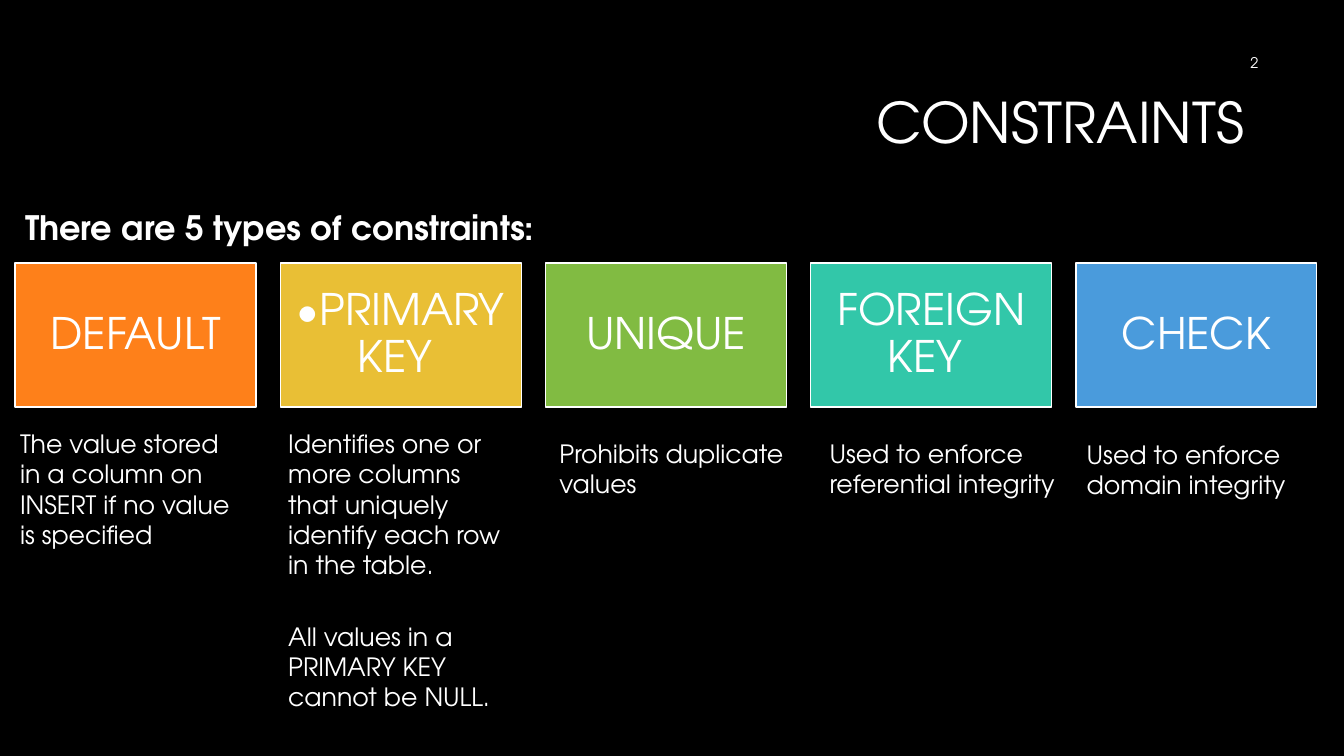
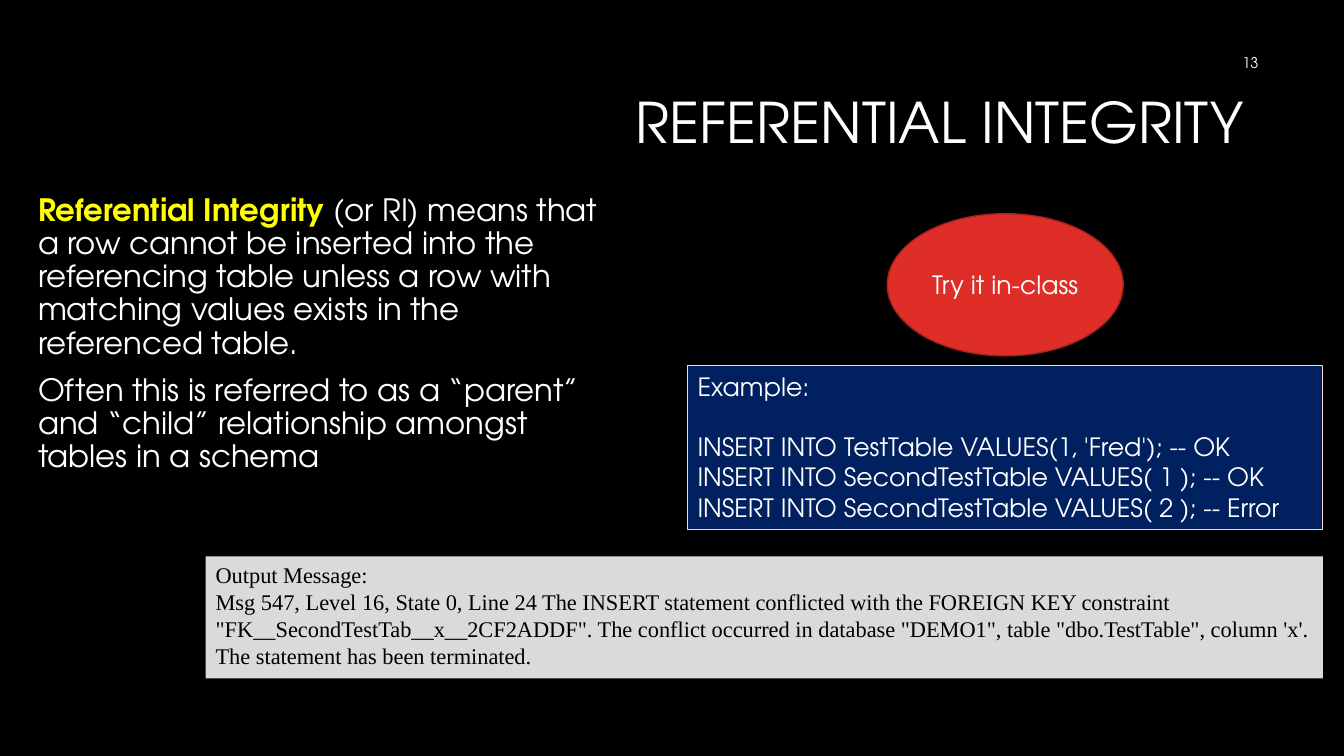
from dataclasses import dataclass
from pptx import Presentation
from pptx.dml.color import RGBColor as Rgb
from pptx.enum.shapes import MSO_SHAPE as Kind
from pptx.enum.text import MSO_ANCHOR as Anchor, PP_ALIGN as Align
from pptx.util import Inches, Pt


@dataclass(frozen=True)
class Theme:
    face: str = "TeX Gyre Adventor"
    serif: str = "Times New Roman"
    back: str = "000000"
    ink: str = "FFFFFF"
    dark: str = "000000"
    key: str = "FFFF00"
    red: str = "DF2E28"
    rim: str = "A5221E"
    navy: str = "002060"
    pink: str = "F9D5D4"
    gray: str = "DADADA"
    cards: tuple = ("FE801A", "E9BF35", "81BB42", "32C7A9", "4A9BDC")
    title: float = 40
    card: float = 31
    lead: float = 24
    body: float = 22
    note: float = 18
    log: float = 16
    page: float = 10.5


class Deck:
    def __init__(self, theme):
        self.theme = theme
        self.prs = Presentation()
        self.prs.slide_width = Inches(13.33)
        self.prs.slide_height = Inches(7.5)
        fill = self.prs.slide_master.background.fill
        fill.solid()
        fill.fore_color.rgb = Rgb.from_string(theme.back)

    def start(self, title, page, left):
        self.slide = self.prs.slides.add_slide(self.prs.slide_layouts[6])
        head = self.text((left, 0.84, 12.59 - left, 1.41), [title],
                         self.theme.title, align=Align.RIGHT, line=0.9)
        head.text_frame.margin_top = Inches(0.1)
        self.text((9.58, 0.42, 3, 0.4), [page], self.theme.page,
                  align=Align.RIGHT, anchor=Anchor.MIDDLE)

    def text(self, area, paras, size, **style):
        box = self.slide.shapes.add_textbox(*map(Inches, area))
        self.label(box, paras, size, **style)
        return box

    def shape(self, kind, area, fill, paras, size, edge=None, width=1, **style):
        form = self.slide.shapes.add_shape(kind, *map(Inches, area))
        form.shadow.inherit = False
        form.fill.solid()
        form.fill.fore_color.rgb = Rgb.from_string(fill)
        if edge:
            form.line.color.rgb = Rgb.from_string(edge)
            form.line.width = Pt(width)
        else:
            form.line.fill.background()
        self.label(form, paras, size, **style)
        return form

    def label(self, form, paras, size, color=None, face=None, bold=False,
              align=Align.LEFT, anchor=Anchor.TOP, line=None, gaps=()):
        frame = form.text_frame
        frame.word_wrap = True
        frame.vertical_anchor = anchor
        for at, para in enumerate(paras):
            block = frame.add_paragraph() if at else frame.paragraphs[0]
            block.alignment = align
            if line:
                block.line_spacing = line
            if at < len(gaps):
                block.space_before = Pt(gaps[at])
            runs = [(para, color, bold)] if isinstance(para, str) else para
            for words, tint, heavy in runs:
                run = block.add_run()
                run.text = words
                run.font.name = face or self.theme.face
                run.font.size = Pt(size)
                run.font.bold = heavy
                run.font.color.rgb = Rgb.from_string(tint or self.theme.ink)

    def card(self, area, fill, name):
        form = self.shape(Kind.RECTANGLE, area, fill, [name], self.theme.card,
                          self.theme.ink, align=Align.CENTER,
                          anchor=Anchor.MIDDLE, line=0.9)
        frame = form.text_frame
        frame.margin_left = frame.margin_right = Inches(0.13)
        frame.margin_top = frame.margin_bottom = Inches(0.13)


theme = Theme()
deck = Deck(theme)

deck.start("CONSTRAINTS ", "2", 8.16)
deck.text((0.15, 2, 5.42, 0.5), ["There are 5 types of constraints:"],
          theme.lead, bold=True)
names = ("DEFAULT", "•PRIMARY KEY ", "UNIQUE", "FOREIGN KEY ", "CHECK")
for spot, (name, fill) in enumerate(zip(names, theme.cards)):
    deck.card((0.15 + 2.63 * spot, 2.61, 2.39, 1.43), fill, name)

notes = (
    ((0.1, 4.2, 2.41, 1.31),
     "The value stored in a column on INSERT if no value is specified"),
    ((2.76, 4.2, 2.44, 1.62),
     "Identifies one or more columns that uniquely identify each row "
     "in the table."),
    ((2.76, 6.11, 2.51, 1.01), "All values in a PRIMARY KEY cannot be NULL."),
    ((5.45, 4.3, 2.44, 0.71), "Prohibits duplicate values"),
    ((8.13, 4.3, 2.44, 1.01), "Used to enforce referential integrity"),
    ((10.68, 4.31, 2.39, 0.71), "Used to enforce domain integrity"),
)
for area, words in notes:
    deck.text(area, [words], theme.note)

deck.start("REFERENTIAL INTEGRITY ", "13", 3.17)
meaning = [
    ("Referential Integrity ", theme.key, True),
    ("(or RI) means that a row cannot be inserted into the referencing table "
     "unless a row with matching values exists in the referenced table.",
     theme.ink, False),
]
deck.text((0.28, 1.88, 5.77, 3.06),
          [meaning, "Often this is referred to as a “parent” and “child” "
                    "relationship amongst tables in a schema"],
          theme.body, line=0.9, gaps=(10, 10))
deck.shape(Kind.OVAL, (8.8, 2.12, 2.34, 1.41), theme.red, ["Try it in-class"],
           theme.note, theme.rim, align=Align.CENTER, anchor=Anchor.MIDDLE)
deck.shape(Kind.RECTANGLE, (6.82, 3.63, 6.3, 1.62), theme.navy,
           ["Example:",
            "INSERT INTO TestTable VALUES(1, 'Fred'); -- OK",
            "INSERT INTO SecondTestTable VALUES( 1 ); -- OK",
            "INSERT INTO SecondTestTable VALUES( 2 ); -- Error"],
           theme.note, theme.pink, 0.75, gaps=(0, 21.7))
deck.shape(Kind.RECTANGLE, (2.04, 5.52, 11.08, 1.21), theme.gray,
           ["Output Message:",
            "Msg 547, Level 16, State 0, Line 24 The INSERT statement "
            "conflicted with the FOREIGN KEY constraint",
            "\"FK__SecondTestTab__x__2CF2ADDF\". The conflict occurred in "
            "database \"DEMO1\", table \"dbo.TestTable\", column 'x'.",
            "The statement has been terminated."],
           theme.log, color=theme.dark, face=theme.serif)

deck.prs.save("out.pptx")
